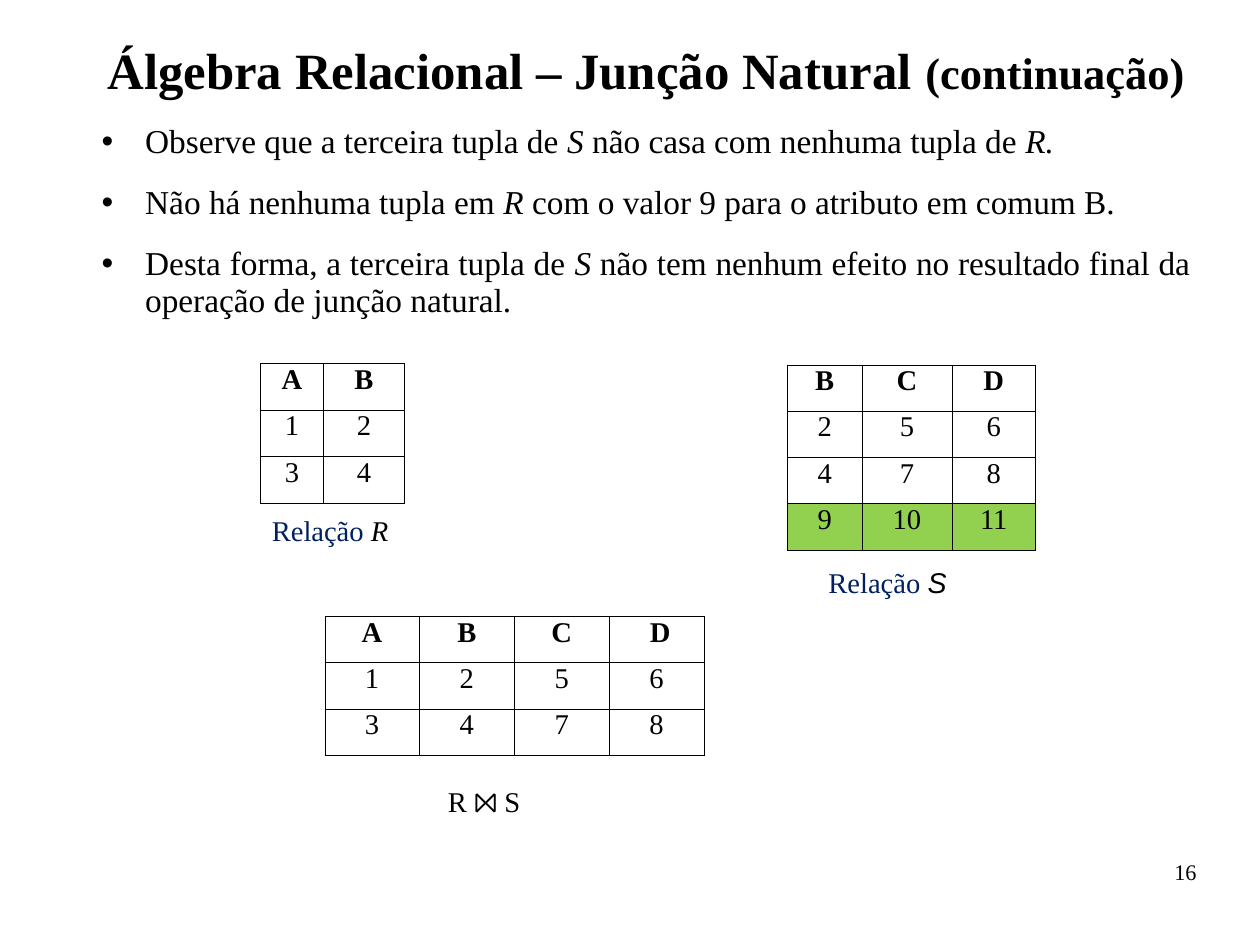
from lxml import etree
from pptx import Presentation
from pptx.dml.color import RGBColor
from pptx.enum.text import MSO_ANCHOR, MSO_AUTO_SIZE, PP_ALIGN
from pptx.oxml.ns import qn
from pptx.util import Inches, Pt

BLACK = RGBColor(0x00, 0x00, 0x00)
NAVY = RGBColor(0x00, 0x20, 0x60)
GREEN = RGBColor(0x92, 0xD0, 0x50)
SERIF, SANS = "Times New Roman", "Arial"
LEFT, CENTER, RIGHT = PP_ALIGN.LEFT, PP_ALIGN.CENTER, PP_ALIGN.RIGHT
JUSTIFY = PP_ALIGN.JUSTIFY
TOP, NO_FIT = MSO_ANCHOR.TOP, MSO_AUTO_SIZE.NONE


def write(par, text, size=18, face=SERIF, color=BLACK, bold=False,
          italic=False, align=LEFT, lines=1.0, before=0, after=0.4):
    """Append text to a paragraph; parts between asterisks switch italics."""
    par.alignment, par.line_spacing = align, lines
    par.space_before, par.space_after = Pt(before), Pt(after)
    for i, part in enumerate(text.split("*")):
        if part:
            run = par.add_run()
            run.text = part
            font = run.font
            font.name, font.size, font.bold = face, Pt(size), bold
            font.italic = italic or i % 2 == 1
            font.color.rgb = color


def place(shape, left, top, width, height, inset=(0.1, 0.05, 0.1, 0.05)):
    """Set a shape's box and text margins; return its text frame."""
    shape.left, shape.top = Inches(left), Inches(top)
    shape.width, shape.height = Inches(width), Inches(height)
    frame = shape.text_frame
    frame.word_wrap, frame.auto_size = True, NO_FIT
    frame.vertical_anchor = TOP
    (frame.margin_left, frame.margin_top,
     frame.margin_right, frame.margin_bottom) = map(Inches, inset)
    return frame


prs = Presentation()
# The page is a whole number of quarter points, about 11.02 by 8.27 inches
prs.slide_width, prs.slide_height = Pt(793.75), Pt(595.25)
prs.element.sldSz.attrib.pop("type", None)
slide = prs.slides.add_slide(prs.slide_layouts[1])
shapes = slide.shapes

# Title
title = place(shapes.title, 0.94, 0.39, 9.53, 0.67, (0, 0, 0, 0)).paragraphs[0]
write(title, "Álgebra Relacional – Junção Natural ", size=32, bold=True)
write(title, "(continuação)", size=28, bold=True, lines=0.93)

# Bullets
points = [
    "Observe que a terceira tupla de *S* não casa com nenhuma tupla de *R.*",
    "Não há nenhuma tupla em *R* com o valor 9 para o atributo em comum B.",
    "Desta forma, a terceira tupla de *S* não tem nenhum efeito no resultado "
    "final da operação de junção natural.",
]
body = place(slide.placeholders[1], 0.89, 1.06, 9.53, 5.98, (0, 0.02, 0, 0))
for i, point in enumerate(points):
    par = body.add_paragraph() if i else body.paragraphs[0]
    props = par._p.get_or_add_pPr()
    props.set("marL", str(Inches(0.38)))
    props.set("indent", str(-Inches(0.38)))
    etree.SubElement(props, qn("a:buChar"), char="•")
    write(par, point, size=21, align=JUSTIFY, lines=0.93,
          before=0.4 if i else 0, after=14.6)

# Relations: left, top, height, column widths, rows, marked row
tables = [
    (2.28, 3.18, 1.22, [0.55, 0.71], ["A B", "1 2", "3 4"], None),
    (6.89, 3.19, 1.62, [0.65, 0.79, 0.73],
     ["B C D", "2 5 6", "4 7 8", "9 10 11"], 3),
    (2.84, 5.39, 1.22, [0.83] * 4, ["A B C D", "1 2 5 6", "3 4 7 8"], None),
]
for left, top, height, widths, rows, marked in tables:
    grid = shapes.add_table(len(rows), len(widths), Inches(left), Inches(top),
                            Inches(sum(widths)), Inches(height)).table
    grid.first_row = grid.horz_banding = False
    for col, width in zip(grid.columns, widths):
        col.width = Inches(width)
    for r, row in enumerate(rows):
        for c, value in enumerate(row.split()):
            cell = grid.cell(r, c)
            props = cell._tc.get_or_add_tcPr()
            for side in "LRTB":
                line = etree.SubElement(props, qn("a:ln" + side),
                                        w=str(Pt(0.06)))
                fill = etree.SubElement(line, qn("a:solidFill"))
                etree.SubElement(fill, qn("a:srgbClr"), val=str(BLACK))
            if r == marked:
                cell.fill.solid()
                cell.fill.fore_color.rgb = GREEN
            else:
                cell.fill.background()
            if (r, c) == (0, 3):
                value = " " + value
            write(cell.text_frame.paragraphs[0], value, bold=r == 0,
                  align=CENTER, lines=0.8)

# Captions
for left, top, name, face in [(2.28, 4.44, "R", SERIF), (7.15, 4.89, "S", SANS)]:
    box = shapes.add_textbox(0, 0, 0, 0)
    par = place(box, left, top, 1.42, 0.4).paragraphs[0]
    write(par, "Relação ", color=NAVY)
    write(par, name, face=face, italic=True)

box = shapes.add_textbox(0, 0, 0, 0)
write(place(box, 3.82, 6.81, 1.81, 0.4).paragraphs[0], "R ⨝ S", align=JUSTIFY)

# Page number
box = shapes.add_textbox(0, 0, 0, 0)
page = place(box, 7.9, 7.53, 2.57, 0.57, (0, 0, 0, 0))
write(page.paragraphs[0], "16", size=14, align=RIGHT, lines=0.95)

prs.save("out.pptx")
